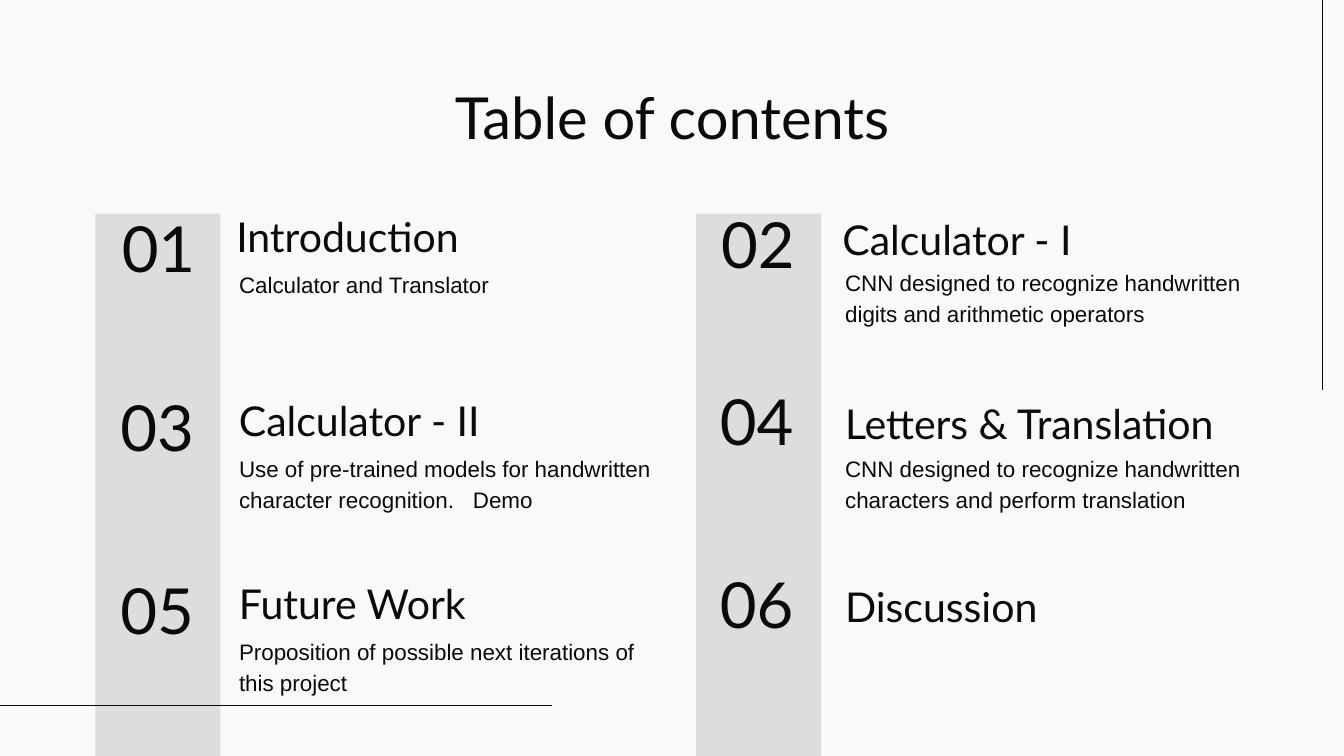
from lxml import etree
from pptx import Presentation
from pptx.dml.color import RGBColor
from pptx.enum.shapes import MSO_CONNECTOR, MSO_SHAPE
from pptx.enum.text import MSO_ANCHOR, PP_ALIGN
from pptx.oxml.ns import qn
from pptx.util import Inches, Pt

COLORS = {"background": "F9F9F9", "ink": "0A0A0A", "band": "DDDDDD"}
TITLE = "Table of contents"
DEMO_TAB = 1.74

# Number, heading, description
TOPICS = [
    ("01", "Introduction", "Calculator and Translator"),
    ("02", "Calculator - I",
     "CNN designed to recognize handwritten digits and arithmetic operators"),
    ("03", "Calculator - II",
     "Use of pre-trained models for handwritten character recognition.\tDemo"),
    ("04", "Letters & Translation",
     "CNN designed to recognize handwritten characters and perform translation"),
    ("05", "Future Work", "Proposition of possible next iterations of this project"),
    ("06", "Discussion", None),
]

COLUMNS = [
    {"band": 0.71, "number": 0.69, "text": 1.68, "heading_w": 3.17, "body_w": 3.42},
    {"band": 5.18, "number": 5.15, "text": 6.19, "heading_w": 3.56, "body_w": 3.26},
]
# Tops of each row's parts, as (left column, right column)
ROWS = [
    {"number": (1.21, 1.18), "heading": (1.54, 1.56), "body": (1.89, 1.87)},
    {"number": (2.54, 2.5), "heading": (2.91, 2.93), "body": (3.26, 3.26)},
    {"number": (3.9, 3.86), "heading": (4.27, 4.29), "body": (4.62, 4.62)},
]
FIRST_ROW_SHIFT = {"number": 0.01, "heading": -0.02}
LINES = [(9.84, 2.9, 9.84, 0), (-0.39, 5.25, 4.11, 5.25)]


def rgb(name):
    return RGBColor.from_string(COLORS[name])


def write(sp, text, size, font="Lato", anchor=MSO_ANCHOR.TOP,
          align=PP_ALIGN.LEFT, spacing=1.0):
    tf = sp.text_frame
    tf.word_wrap = True
    tf.vertical_anchor = anchor
    tf.margin_left = tf.margin_right = Inches(0.1)
    tf.margin_top = tf.margin_bottom = Inches(0.1)
    p = tf.paragraphs[0]
    if "\t" in text:
        tabs = etree.SubElement(p._p.get_or_add_pPr(), qn("a:tabLst"))
        etree.SubElement(tabs, qn("a:tab"), pos=str(Inches(DEMO_TAB)), algn="l")
    p.alignment = align
    p.line_spacing = spacing
    p.space_before = Pt(0)
    r = p.add_run()
    r.text = text
    r.font.size = Pt(size)
    r.font.name = font
    r.font.bold = False
    r.font.color.rgb = rgb("ink")


def add_text(s, x, y, w, h, *args, **kwargs):
    sp = s.shapes.add_textbox(Inches(x), Inches(y), Inches(w), Inches(h))
    write(sp, *args, **kwargs)


def add_band(s, x):
    sp = s.shapes.add_shape(MSO_SHAPE.RECTANGLE, Inches(x), Inches(1.59),
                            Inches(0.93), Inches(4.04))
    sp.shadow.inherit = False
    sp.fill.solid()
    sp.fill.fore_color.rgb = rgb("band")
    sp.line.fill.background()


def add_line(s, *ends):
    line = s.shapes.add_connector(MSO_CONNECTOR.STRAIGHT, *map(Inches, ends))
    line.line.color.rgb = rgb("ink")
    line.line.width = Pt(0.75)
    etree.SubElement(line._element.spPr, qn("a:effectLst"))


def add_topic(s, index, number, heading, body):
    row, side = divmod(index, len(COLUMNS))
    col, tops = COLUMNS[side], ROWS[row]
    shift = FIRST_ROW_SHIFT if row == 0 else {"number": 0, "heading": 0}
    if body:
        add_text(s, col["text"], tops["body"][side], col["body_w"], 0.71,
                 body, 12, font="Arial", spacing=1.15)
    add_text(s, col["text"] + shift["heading"], tops["heading"][side],
             col["heading_w"], 0.5, heading, 22, anchor=MSO_ANCHOR.BOTTOM)
    add_text(s, col["number"] + shift["number"], tops["number"][side], 0.96, 1.26,
             number, 34, anchor=MSO_ANCHOR.MIDDLE, align=PP_ALIGN.CENTER)


def main():
    prs = Presentation()
    prs.slide_width = Inches(10)
    prs.slide_height = prs.slide_width * 9 // 16
    s = prs.slides.add_slide(prs.slide_layouts[5])
    s.background.fill.solid()
    s.background.fill.fore_color.rgb = rgb("background")

    for col in COLUMNS:
        add_band(s, col["band"])
    for ends in LINES:
        add_line(s, *ends)

    title = s.shapes.title
    title.left, title.top = Inches(0.78), Inches(0.51)
    title.width, title.height = Inches(8.44), Inches(0.6)
    write(title, TITLE, 31, align=PP_ALIGN.CENTER)

    for index, topic in enumerate(TOPICS):
        add_topic(s, index, *topic)
    prs.save("out.pptx")


if __name__ == "__main__":
    main()
